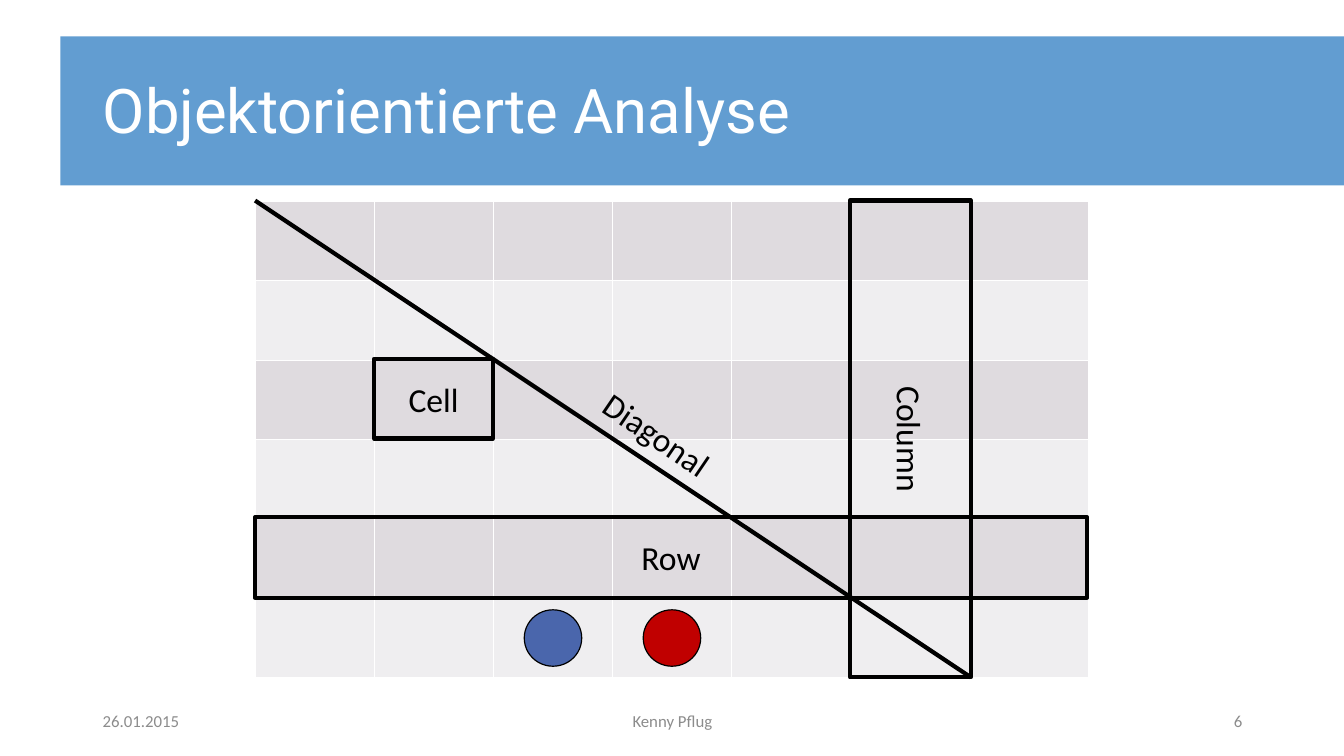
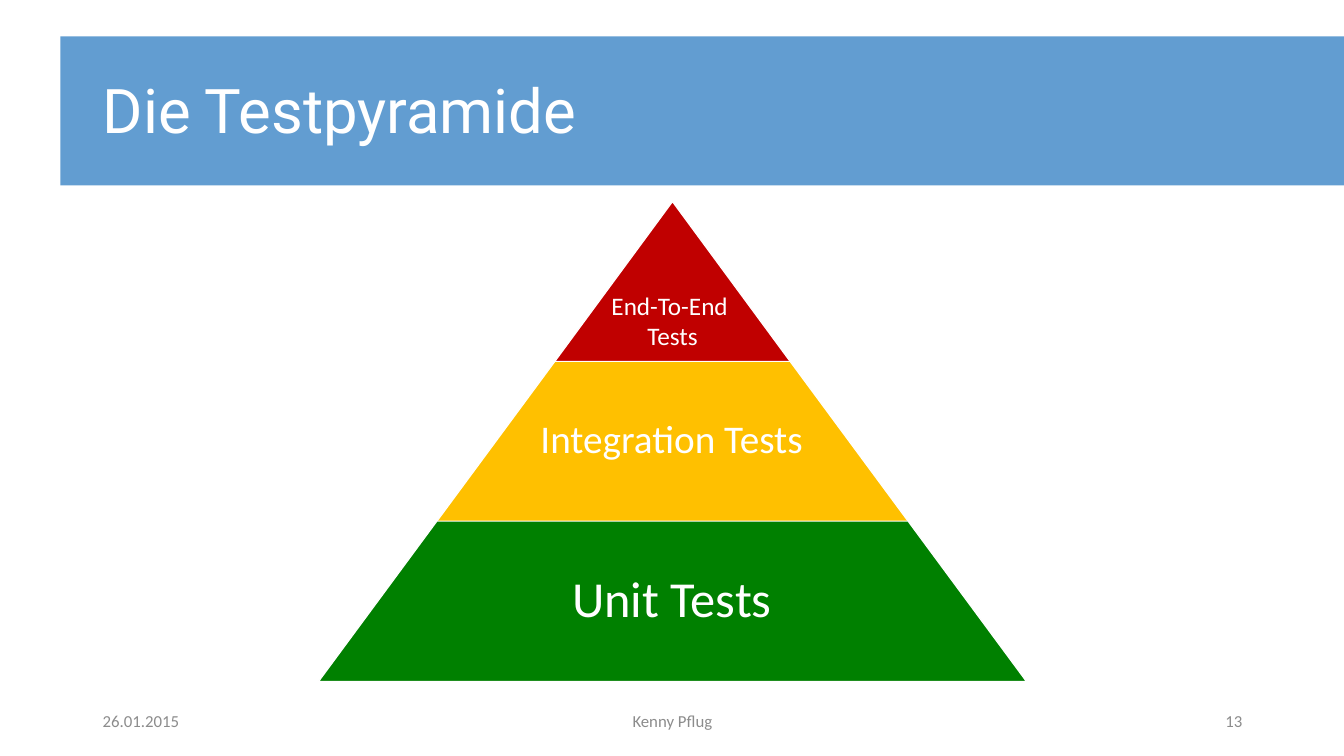
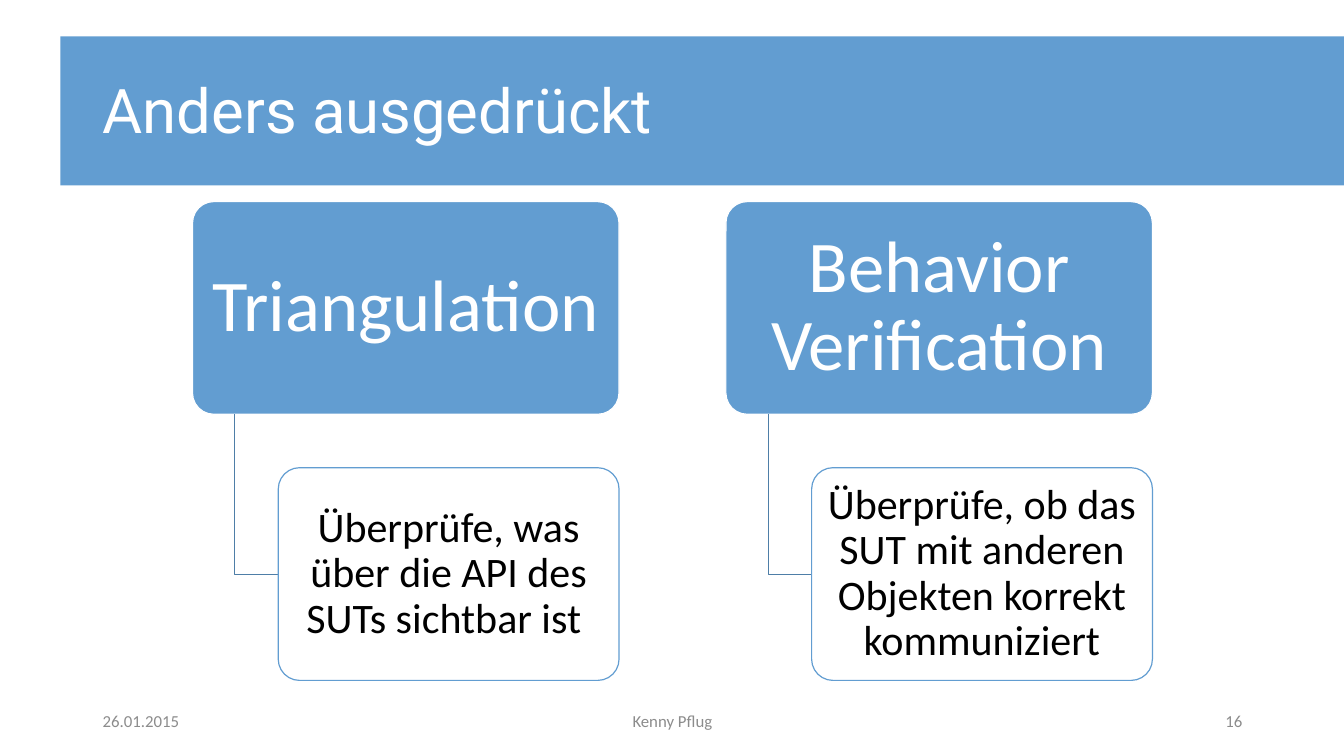
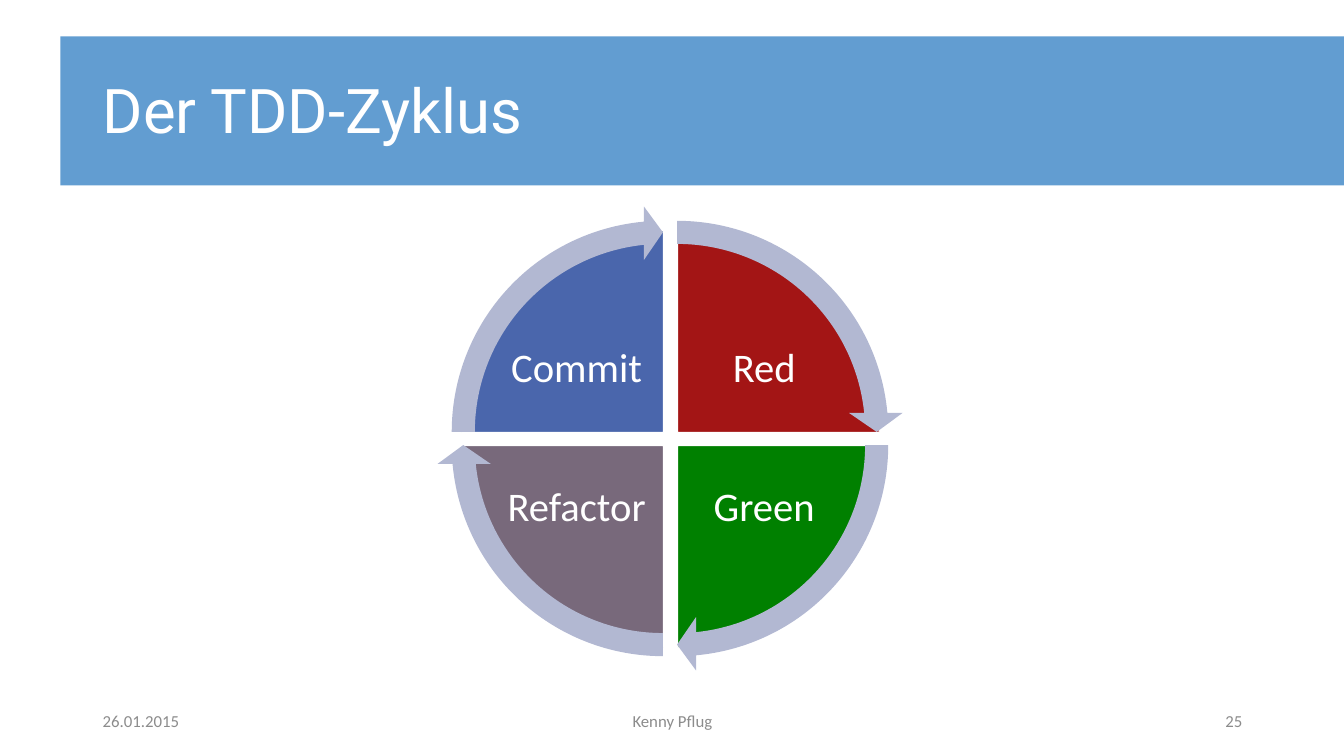
from lxml import etree
from pptx import Presentation
from pptx import util as u
from pptx.dml.color import RGBColor
from pptx.enum import shapes, text
from pptx.oxml.ns import qn

SHAPE = shapes.MSO_SHAPE
ALIGN = text.PP_ALIGN
MIDDLE = text.MSO_ANCHOR.MIDDLE

# Shared look
BLUE, WHITE, BLACK, GRAY = "629DD1", "FFFFFF", "000000", "8C8C8C"
RED, NAVY, GREEN = "C00000", "4A66AC", "008000"
HAIRLINE = 0.85
BODY_FONT, TITLE_FONT = "Calibri", "Roboto"
DATE, AUTHOR = "26.01.2015", "Kenny Pflug"

# Board: a grid with marked areas (label, box, text direction)
BOARD_LEFT, BOARD_TOP, BOARD_WIDTH, BOARD_HEIGHT = 2.53, 2, 8.27, 4.72
BOARD_ROWS, BOARD_COLUMNS = 6, 7
BOARD_FILLS = ["DFDBDF", "EFEEF0"]
TOKENS = [(5.2, NAVY), (6.38, RED)]
MARKS = [
    ("Cell", (3.71, 3.56, 1.18, 0.79), "horz"),
    ("Column", (8.43, 1.99, 1.2, 4.73), "vert"),
    ("Row", (2.53, 5.13, 8.25, 0.8), "horz"),
]

# Test pyramid, top to bottom: label, fill, size, text box
TIERS = [
    ("End-To-End \vTests", RED, 18, (5.64, 2.83, 2.06, 0.71)),
    ("Integration Tests", "FFC000", 28, (5.14, 3.58, 3.04, 1.59)),
    ("Unit Tests", GREEN, 36, (4.38, 5.17, 4.57, 1.59)),
]

# Test styles: heading, explanation
STYLES = [
    ("Triangulation", "Überprüfe, was über die API des SUTs sichtbar ist "),
    ("Behavior Verification",
     "Überprüfe, ob das SUT mit anderen Objekten korrekt kommuniziert"),
]

# TDD phases, clockwise from top right: label, fill, right half, bottom half
PHASES = [
    ("Red", "A31515", True, False),
    ("Green", GREEN, True, True),
    ("Refactor", "78697B", False, True),
    ("Commit", NAVY, False, False),
]
QUARTER, FULL_TURN = 54, 216  # adjustment units: 0.6 per degree


def rgb(color):
    return RGBColor.from_string(color)


def inches(*lengths):
    return [u.Inches(length) for length in lengths]


def write(part, words, size, color, align=ALIGN.CENTER, font=BODY_FONT,
          spacing=None, insets=(0.1, 0.05), anchor=MIDDLE):
    frame = part.text_frame
    frame.word_wrap = True
    frame.vertical_anchor = anchor
    frame.margin_left = frame.margin_right = u.Inches(insets[0])
    frame.margin_top = frame.margin_bottom = u.Inches(insets[1])
    paragraph = frame.paragraphs[0]
    paragraph.text = words
    paragraph.alignment = align
    if spacing:
        paragraph.line_spacing = spacing
    paragraph.font.size = u.Pt(size)
    paragraph.font.name = font
    paragraph.font.color.rgb = rgb(color)


def add_label(slide, box, words, size, color, **style):
    label = slide.shapes.add_textbox(*inches(*box))
    write(label, words, size, color, **style)
    return label


def paint(part, fill=None, line=None, width=HAIRLINE):
    part.shadow.inherit = False
    if fill:
        part.fill.solid()
        part.fill.fore_color.rgb = rgb(fill)
    else:
        part.fill.background()
    if line:
        part.line.color.rgb = rgb(line)
        part.line.width = u.Pt(width)
    else:
        part.line.fill.background()


def add_figure(slide, kind, box, fill=None, line=None, width=HAIRLINE, adjust=()):
    figure = slide.shapes.add_shape(kind, *inches(*box))
    for index, value in enumerate(adjust):
        figure.adjustments[index] = value
    paint(figure, fill, line, width)
    return figure


def add_frame(deck, title, number):
    """Add a slide with title band and footer."""
    slide = deck.slides.add_slide(deck.slide_layouts[6])
    add_figure(slide, SHAPE.RECTANGLE, (0.6, 0.36, 12.73, 1.48), BLUE)
    add_label(slide, (0.92, 0.4, 12.42, 1.45), title, 44, WHITE,
              align=ALIGN.LEFT, font=TITLE_FONT, spacing=0.9)
    for left, width, words, align in [(0.92, 3, DATE, ALIGN.LEFT),
                                      (4.42, 4.5, AUTHOR, ALIGN.CENTER),
                                      (9.42, 3, str(number), ALIGN.RIGHT)]:
        add_label(slide, (left, 6.95, width, 0.4), words, 12, GRAY, align=align)
    return slide


def border_cell(cell, color, points):
    properties = cell._tc.get_or_add_tcPr()
    for index, side in enumerate(["a:lnL", "a:lnR", "a:lnT", "a:lnB"]):
        border = etree.Element(qn(side), w=str(u.Pt(points)))
        fill = etree.SubElement(border, qn("a:solidFill"))
        etree.SubElement(fill, qn("a:srgbClr"), val=color)
        properties.insert(index, border)


def draw_board(slide):
    # Grid
    board = slide.shapes.add_table(
        BOARD_ROWS, BOARD_COLUMNS,
        *inches(BOARD_LEFT, BOARD_TOP, BOARD_WIDTH, BOARD_HEIGHT)).table
    board.first_row = board.horz_banding = False
    for row_index, row in enumerate(board.rows):
        for cell in row.cells:
            cell.fill.solid()
            cell.fill.fore_color.rgb = rgb(BOARD_FILLS[row_index % 2])
            border_cell(cell, WHITE, 1)

    # Tokens and marked areas
    for left, fill in TOKENS:
        add_figure(slide, SHAPE.OVAL, (left, 6.05, 0.57, 0.56), fill, BLACK)
    for words, box, direction in MARKS:
        mark = add_figure(slide, SHAPE.RECTANGLE, box, line=BLACK, width=3)
        write(mark, words, 24, BLACK)
        mark.element.txBody.bodyPr.set("vert", direction)

    # Diagonal
    diagonal = slide.shapes.add_connector(
        shapes.MSO_CONNECTOR.STRAIGHT, *inches(2.53, 1.99, 9.63, 6.72))
    diagonal.line.color.rgb = rgb(BLACK)
    diagonal.line.width = u.Pt(3)
    etree.SubElement(diagonal.element.spPr, qn("a:effectLst"))
    label = add_label(slide, (5.68, 4.06, 1.67, 0.5), "Diagonal", 24, BLACK,
                      anchor=text.MSO_ANCHOR.TOP)
    label.rotation = 34.2


def draw_pyramid(slide):
    center, top, step, tier_height = 6.67, 2, 1.585, 1.59
    for level, (words, fill, size, box) in enumerate(TIERS):
        width = 2.34 * (level + 1)
        add_figure(slide, SHAPE.TRAPEZOID,
                   (center - width / 2, top + level * step, width, tier_height),
                   fill, WHITE, adjust=[0.738])
        if level == 0:
            add_label(slide, box, words, size, WHITE, anchor=text.MSO_ANCHOR.TOP)
        else:
            add_label(slide, box, words, size, WHITE, spacing=0.9,
                      insets=(0.04, 0.04))


def draw_styles(slide):
    for index, (heading, explanation) in enumerate(STYLES):
        left = 1.91 + index * 5.29
        head = add_figure(slide, SHAPE.ROUNDED_RECTANGLE, (left, 2, 4.23, 2.11),
                          BLUE, WHITE, adjust=[0.1])
        write(head, heading, 52, WHITE, spacing=0.9, insets=(0.11, 0.07))

        # Elbow from heading to explanation
        start, corner, end = [inches(left + x, y) for x, y in
                              [(0.42, 4.11), (0.42, 5.7), (0.85, 5.7)]]
        outline = slide.shapes.build_freeform(*start)
        outline.add_line_segments([corner, end], close=False)
        paint(outline.convert_to_shape(), line="4E7EA7")

        detail = add_figure(slide, SHAPE.ROUNDED_RECTANGLE,
                            (left + 0.85, 4.64, 3.38, 2.11), WHITE, BLUE,
                            adjust=[0.1])
        write(detail, explanation, 30, BLACK, spacing=0.9, insets=(0.06, 0.04))


def draw_cycle(slide):
    arrows = []
    for index, (words, fill, right, bottom) in enumerate(PHASES):
        start = (3 * QUARTER + index * QUARTER) % FULL_TURN
        left, top = 4.72 if right else 4.58, 2.42 if bottom else 2.29
        add_figure(slide, SHAPE.PIE, (left, top, 4, 4), fill, WHITE,
                   adjust=[start, (start + QUARTER) % FULL_TURN])
        add_label(slide, (6.84 if right else 4.98, 4.5 if bottom else 3.12,
                          1.48, 1.09),
                  words, 29, WHITE, spacing=0.9, insets=(0.04, 0.04))
        arrows.append((left - 0.25, top - 0.25, start))

    # Arrows lie above all quarters
    for left, top, start in arrows:
        add_figure(slide, SHAPE.CIRCULAR_ARROW, (left, top, 4.49, 4.49), "B2B8D2",
                   adjust=[0.051, 3.275, start + 50.725, start, 0.059])


SLIDES = [
    ("Objektorientierte Analyse", 6, draw_board),
    ("Die Testpyramide", 13, draw_pyramid),
    ("Anders ausgedrückt", 16, draw_styles),
    ("Der TDD-Zyklus", 25, draw_cycle),
]


def main():
    deck = Presentation()
    deck.slide_width, deck.slide_height = inches(13.33, 7.5)
    for title, number, draw in SLIDES:
        draw(add_frame(deck, title, number))
    deck.save("out.pptx")


if __name__ == "__main__":
    main()
